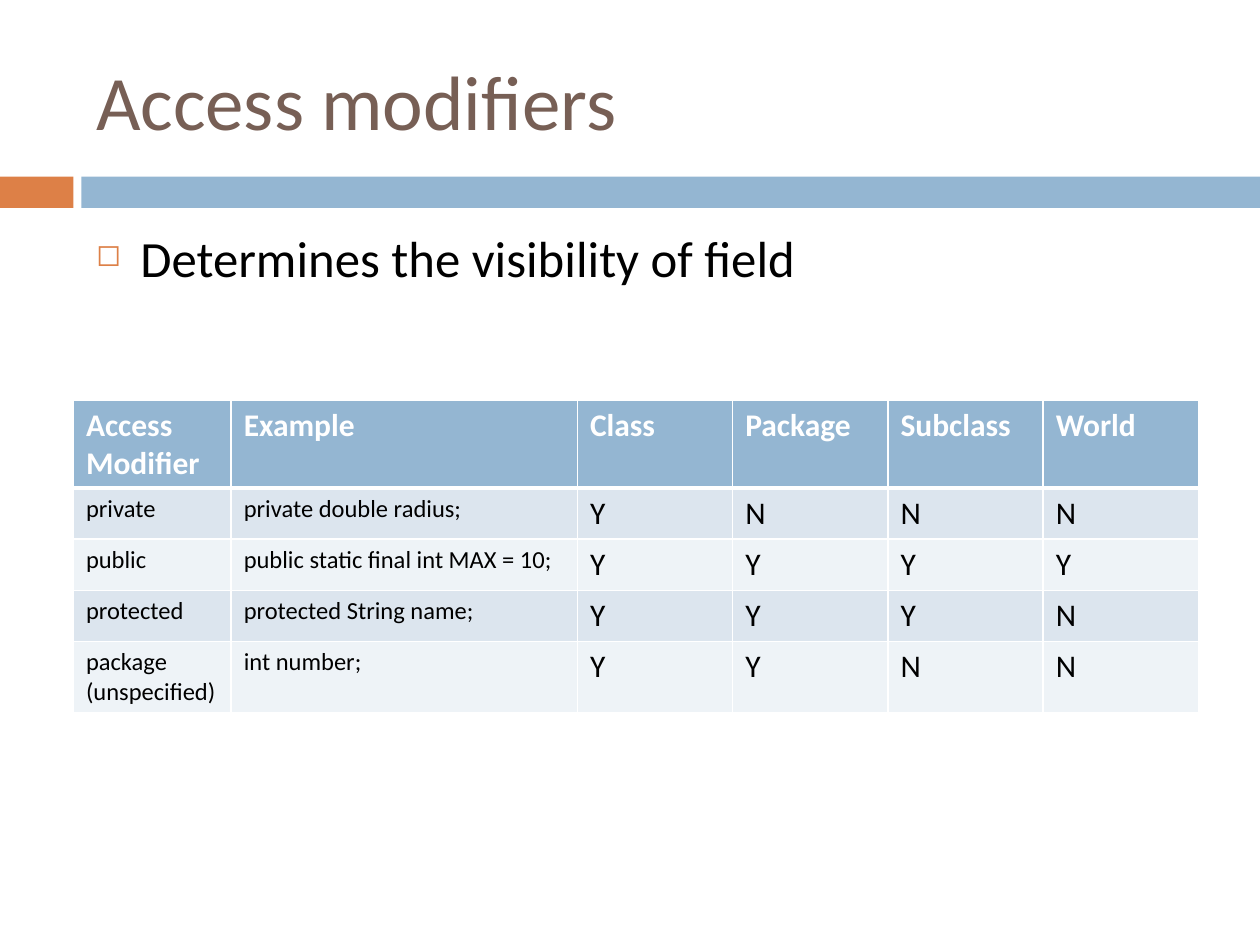
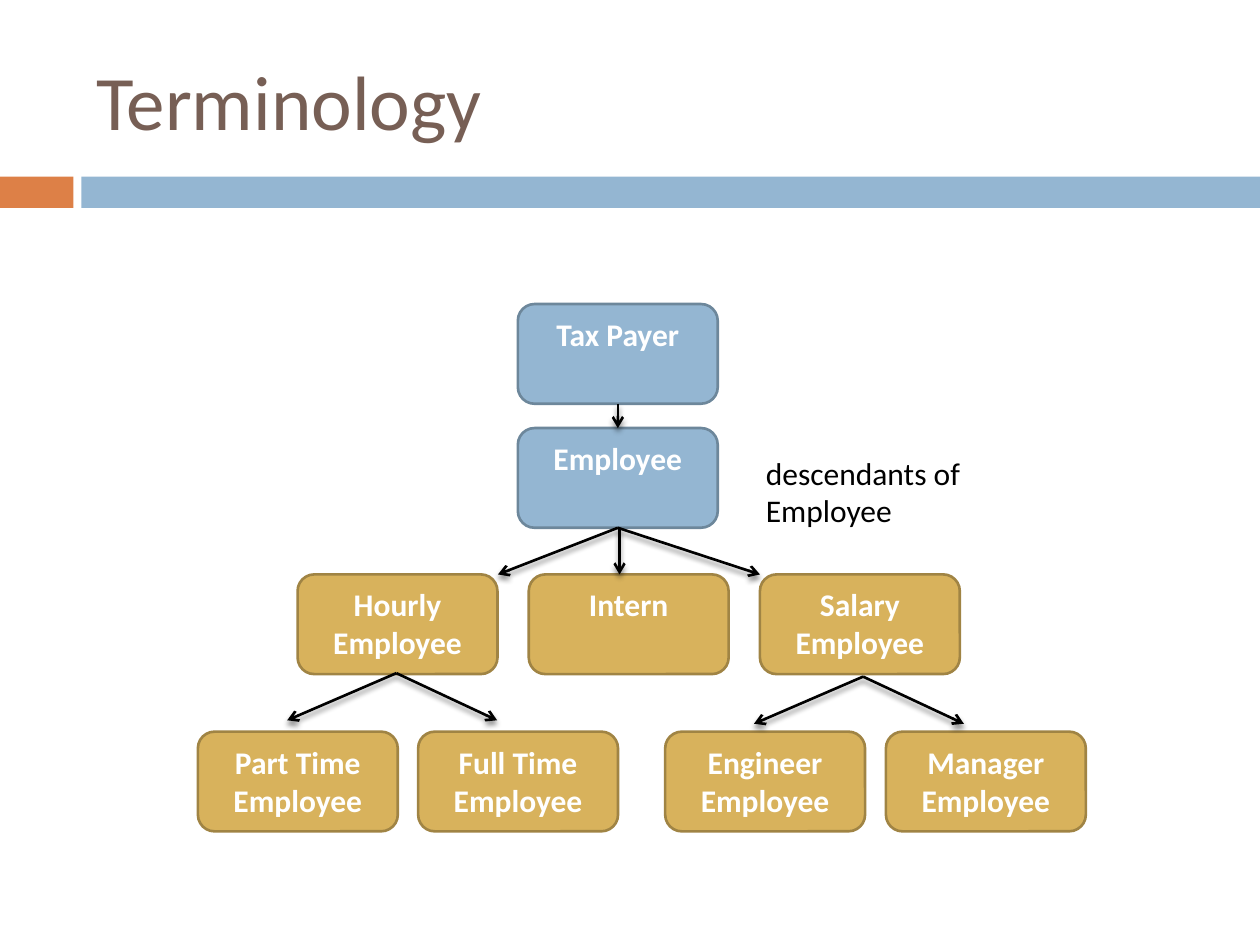
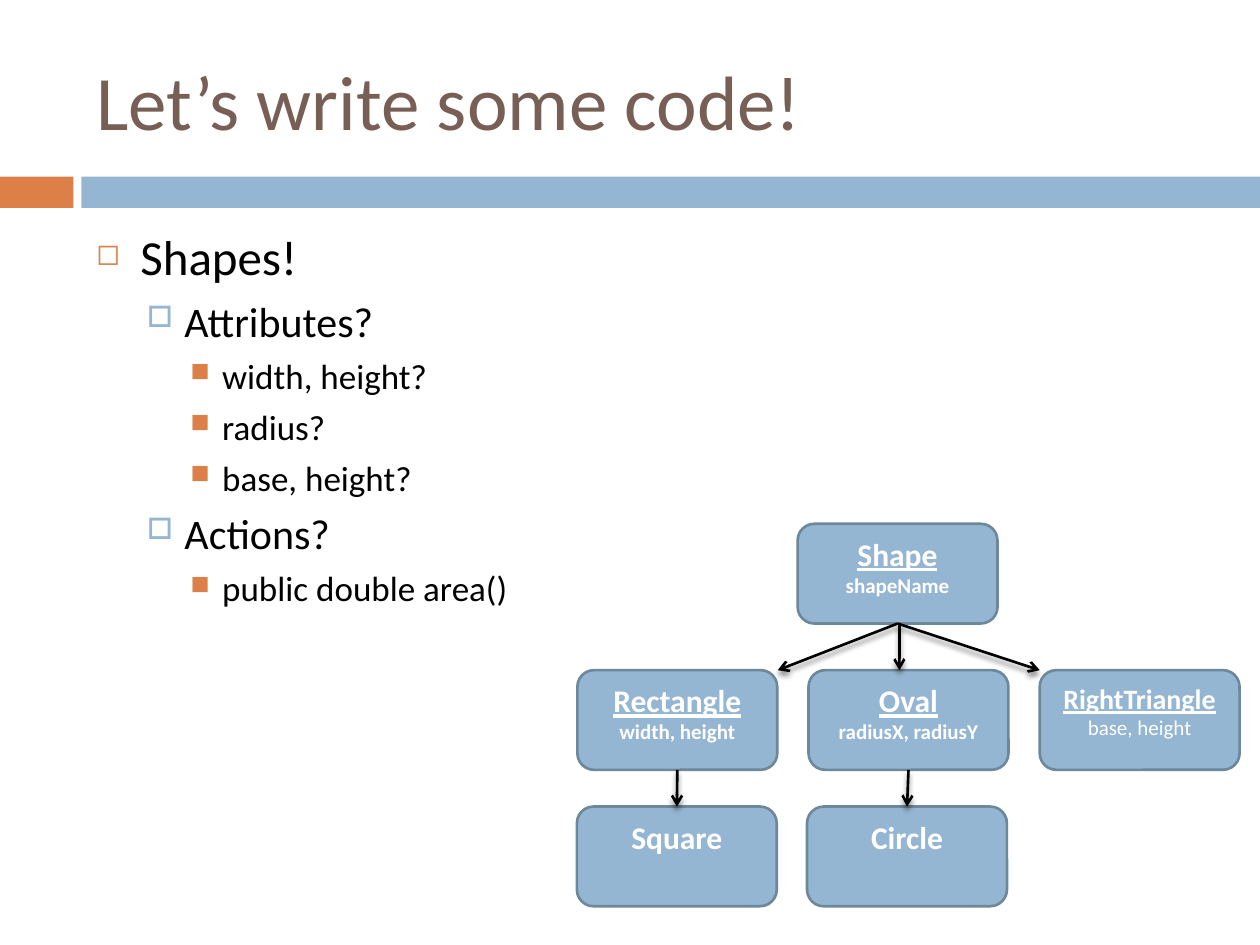
from lxml import etree
from pptx import Presentation
from pptx.dml.color import RGBColor
from pptx.enum.shapes import MSO_CONNECTOR, MSO_SHAPE
from pptx.enum.text import MSO_ANCHOR, PP_ALIGN
from pptx.oxml.ns import qn
from pptx.util import Cm, Pt

RECTANGLE, ROUNDED = MSO_SHAPE.RECTANGLE, MSO_SHAPE.ROUNDED_RECTANGLE
STRAIGHT = MSO_CONNECTOR.STRAIGHT
TOP, MIDDLE = MSO_ANCHOR.TOP, MSO_ANCHOR.MIDDLE
CENTER = PP_ALIGN.CENTER

FONT = "Calibri"
BLACK = RGBColor(0x00, 0x00, 0x00)
WHITE = RGBColor(0xFF, 0xFF, 0xFF)
BROWN = RGBColor(0x77, 0x5F, 0x55)
ORANGE = RGBColor(0xDD, 0x80, 0x47)
BLUE = RGBColor(0x94, 0xB6, 0xD2)
DARK_BLUE = RGBColor(0x6D, 0x87, 0x9B)
GOLD = RGBColor(0xD8, 0xB2, 0x5C)
DARK_GOLD = RGBColor(0xA0, 0x84, 0x44)
ROW_BLUE = RGBColor(0xDC, 0xE5, 0xEE)
ROW_PALE = RGBColor(0xEE, 0xF3, 0xF7)

BLUE_BOX = (BLUE, DARK_BLUE)
GOLD_BOX = (GOLD, DARK_GOLD)
BOX_WIDTH, BOX_HEIGHT = 4.03, 2.01

BANDS = [(0, 1.48, ORANGE), (1.64, 23.76, BLUE)]
BAND_TOP, BAND_HEIGHT = 3.56, 0.63

# level: indent, hanging, space before, bullet, bullet colour, bullet percent
LEVELS = [
    (0.89, 0.89, 7, "◻", ORANGE, 60),
    (1.78, 0.76, 5.5, "□", BLUE, 70),
    (2.54, 0.64, 5, "■", ORANGE, 75),
]

VISIBILITY_POINTS = [(0, "Determines the visibility of field", 29)]
SHAPES_POINTS = [
    (0, "Shapes!", 28),
    (1, "Attributes?", 24),
    (2, "width, height?", 20),
    (2, "radius?", 20),
    (2, "base, height?", 20),
    (1, "Actions?", 24),
    (2, "public double area()", 20),
]

MODIFIERS = [
    ("Access Modifier", "Example", "Class", "Package", "Subclass", "World"),
    ("private", "private double radius;", "Y", "N", "N", "N"),
    ("public", "public static final int MAX = 10;", "Y", "Y", "Y", "Y"),
    ("protected", "protected String name;", "Y", "Y", "Y", "N"),
    ("package (unspecified)", "int number;", "Y", "Y", "N", "N"),
]
COLUMN_WIDTHS = [3.18, 6.98] + [3.13] * 4
ROW_HEIGHT = 1.03

# box line: text, size, bold, underline
EMPLOYEE = [("Employee", 18, True, False)]
EMPLOYEE_KINDS = [
    [(text, 18, True, False)] for text in ("Hourly Employee", "Intern", "Salary Employee")
]
EMPLOYEE_LEAVES = [
    ("Part Time Employee", 3.99),
    ("Full Time Employee", 8.43),
    ("Engineer Employee", 13.41),
    ("Manager Employee", 17.86),
]
FORK_APEXES = [(7.99, 13.57), (17.4, 13.64)]

SHAPE_CLASS = [("Shape", 18, True, True), ("shapeName", 12, True, False)]
SHAPE_KINDS = [
    [("Rectangle", 18, True, True), ("width, height", 12, True, False)],
    [("Oval", 18, True, True), ("radiusX, radiusY", 12, True, False)],
    [("RightTriangle", 16, True, True), ("base, height", 12, False, False)],
]
SHAPE_LEAVES = [("Square", 11.63), ("Circle", 16.27)]

FAN_LEFTS, FAN_DROP = (-4.44, 0.22, 4.88), 2.95
FAN_TIPS = (-0.4, 2.05, 4.88)


def add_element(parent, tag, **attributes):
    return etree.SubElement(parent, qn(tag), attributes)


def add_color(parent, color):
    return add_element(parent, "a:srgbClr", val=str(color))


def write(paragraph, text, size, color, bold=False, underline=False):
    paragraph.text = text
    font = paragraph.font
    font.name, font.size, font.bold, font.underline = FONT, Pt(size), bold, underline
    font.color.rgb = color


def next_paragraph(frame, index):
    return frame.add_paragraph() if index else frame.paragraphs[0]


def add_text_frame(slide, left, top, width, height, wrap=True):
    frame = slide.shapes.add_textbox(Cm(left), Cm(top), Cm(width), Cm(height)).text_frame
    frame.word_wrap = wrap
    return frame


def add_block(slide, kind, left, top, width, height, fill):
    shape = slide.shapes.add_shape(kind, Cm(left), Cm(top), Cm(width), Cm(height))
    shape.shadow.inherit = False
    shape.fill.solid()
    shape.fill.fore_color.rgb = fill
    return shape


def add_titled_slide(presentation, title):
    slide = presentation.slides.add_slide(presentation.slide_layouts[6])
    for left, width, color in BANDS:
        band = add_block(slide, RECTANGLE, left, BAND_TOP, width, BAND_HEIGHT, color)
        band.line.fill.background()
    frame = add_text_frame(slide, 1.69, 0.64, 22.66, 2.75)
    frame.vertical_anchor = MIDDLE
    write(frame.paragraphs[0], title, 44, BROWN)
    return slide


def add_points(slide, points):
    frame = add_text_frame(slide, 1.69, 4.45, 22.66, 12.5)
    for index, (level, text, size) in enumerate(points):
        indent, hanging, space, bullet, color, percent = LEVELS[level]
        paragraph = next_paragraph(frame, index)
        paragraph.level = level
        if index:
            paragraph.space_before = Pt(space)
        properties = paragraph._p.get_or_add_pPr()
        properties.set("marL", str(Cm(indent)))
        properties.set("indent", str(-Cm(hanging)))
        add_color(add_element(properties, "a:buClr"), color)
        add_element(properties, "a:buSzPct", val=str(percent * 1000))
        add_element(properties, "a:buChar", char=bullet)
        write(paragraph, text, size, BLACK)


def set_borders(cell, widths):
    properties = cell._tc.get_or_add_tcPr()
    for side, width in zip("LRTB", widths):
        line = add_element(properties, f"a:ln{side}", w=str(Pt(width)))
        add_color(add_element(line, "a:solidFill"), WHITE)


def add_modifier_table(slide):
    table = slide.shapes.add_table(
        len(MODIFIERS), len(COLUMN_WIDTHS), Cm(1.48), Cm(8.06),
        Cm(sum(COLUMN_WIDTHS)), Cm(ROW_HEIGHT * len(MODIFIERS)),
    ).table
    table.horz_banding = False
    for column, width in zip(table.columns, COLUMN_WIDTHS):
        column.width = Cm(width)
    for row, texts in enumerate(MODIFIERS):
        table.rows[row].height = Cm(ROW_HEIGHT)
        header = row == 0
        fill = BLUE if header else (ROW_PALE, ROW_BLUE)[row % 2]
        for column, text in enumerate(texts):
            cell = table.cell(row, column)
            set_borders(cell, (1, 1, 3 if row == 1 else 1, 3 if header else 1))
            cell.fill.solid()
            cell.fill.fore_color.rgb = fill
            size = 18 if header or column > 1 else 14
            write(cell.text_frame.paragraphs[0], text, size, WHITE if header else BLACK, header)


def add_box(slide, left, top, lines, style):
    fill, outline = style
    box = add_block(slide, ROUNDED, left, top, BOX_WIDTH, BOX_HEIGHT, fill)
    box.line.color.rgb = outline
    box.line.width = Pt(1.5)
    frame = box.text_frame
    frame.vertical_anchor = TOP
    for index, (text, size, bold, underline) in enumerate(lines):
        paragraph = next_paragraph(frame, index)
        paragraph.alignment = CENTER
        write(paragraph, text, size, WHITE, bold, underline)


def add_arrow(slide, start, end):
    arrow = slide.shapes.add_connector(STRAIGHT, *(Cm(value) for value in start + end))
    arrow.line.color.rgb = BLACK
    arrow.line.width = Pt(1.5)
    add_element(arrow.line._get_or_add_ln(), "a:tailEnd", type="arrow")
    effects = add_element(arrow._element.spPr, "a:effectLst")
    shadow = add_element(
        effects, "a:outerShdw", blurRad=str(Pt(3)), dist=str(Pt(2.4)),
        dir="5400000", rotWithShape="0",
    )
    add_element(add_color(shadow, BLACK), "a:alpha", val="45000")


def add_fan(slide, left, top, parent, children, parent_style, child_style):
    add_box(slide, left, top, parent, parent_style)
    for offset, lines in zip(FAN_LEFTS, children):
        add_box(slide, left + offset, top + FAN_DROP, lines, child_style)
    bottom = top + BOX_HEIGHT
    for tip in FAN_TIPS:
        vertical = 0 < tip < BOX_WIDTH
        start = left + (tip if vertical else BOX_WIDTH / 2)
        add_arrow(slide, (start, bottom), (left + tip, top + FAN_DROP))


def add_leaves(slide, leaves, top, style):
    for text, left in leaves:
        add_box(slide, left, top, [(text, 18, True, False)], style)


def build_modifiers(presentation):
    slide = add_titled_slide(presentation, "Access modifiers")
    add_points(slide, VISIBILITY_POINTS)
    add_modifier_table(slide)


def build_terminology(presentation):
    slide = add_titled_slide(presentation, "Terminology")
    left, top = 10.44, 8.63
    add_leaves(slide, [("Tax Payer", left)], 6.13, BLUE_BOX)
    add_fan(slide, left, top, EMPLOYEE, EMPLOYEE_KINDS, BLUE_BOX, GOLD_BOX)
    add_leaves(slide, EMPLOYEE_LEAVES, 14.75, GOLD_BOX)
    center = left + BOX_WIDTH / 2
    add_arrow(slide, (center, 6.13 + BOX_HEIGHT), (center, top))
    for x, y in FORK_APEXES:
        for reach in (-2.2, 2.03):
            add_arrow(slide, (x, y), (x + reach, y + 0.95))
    frame = add_text_frame(slide, 15.19, 9.02, 4.52, 1.8, wrap=False)
    for index, text in enumerate(("descendants of", "Employee")):
        write(next_paragraph(frame, index), text, 18, BLACK)


def build_shapes(presentation):
    slide = add_titled_slide(presentation, "Let’s write some code!")
    add_points(slide, SHAPES_POINTS)
    left, top, leaf_top = 16.08, 10.56, 16.26
    add_fan(slide, left, top, SHAPE_CLASS, SHAPE_KINDS, BLUE_BOX, BLUE_BOX)
    add_leaves(slide, SHAPE_LEAVES, leaf_top, BLUE_BOX)
    middle = BOX_WIDTH / 2
    for offset, (_, leaf_left) in zip(FAN_LEFTS, SHAPE_LEAVES):
        start = (left + offset + middle, top + FAN_DROP + BOX_HEIGHT)
        add_arrow(slide, start, (leaf_left + middle, leaf_top))


def main():
    presentation = Presentation()
    presentation.slide_width, presentation.slide_height = Cm(25.4), Cm(19.05)
    build_modifiers(presentation)
    build_terminology(presentation)
    build_shapes(presentation)
    presentation.save("out.pptx")


if __name__ == "__main__":
    main()
